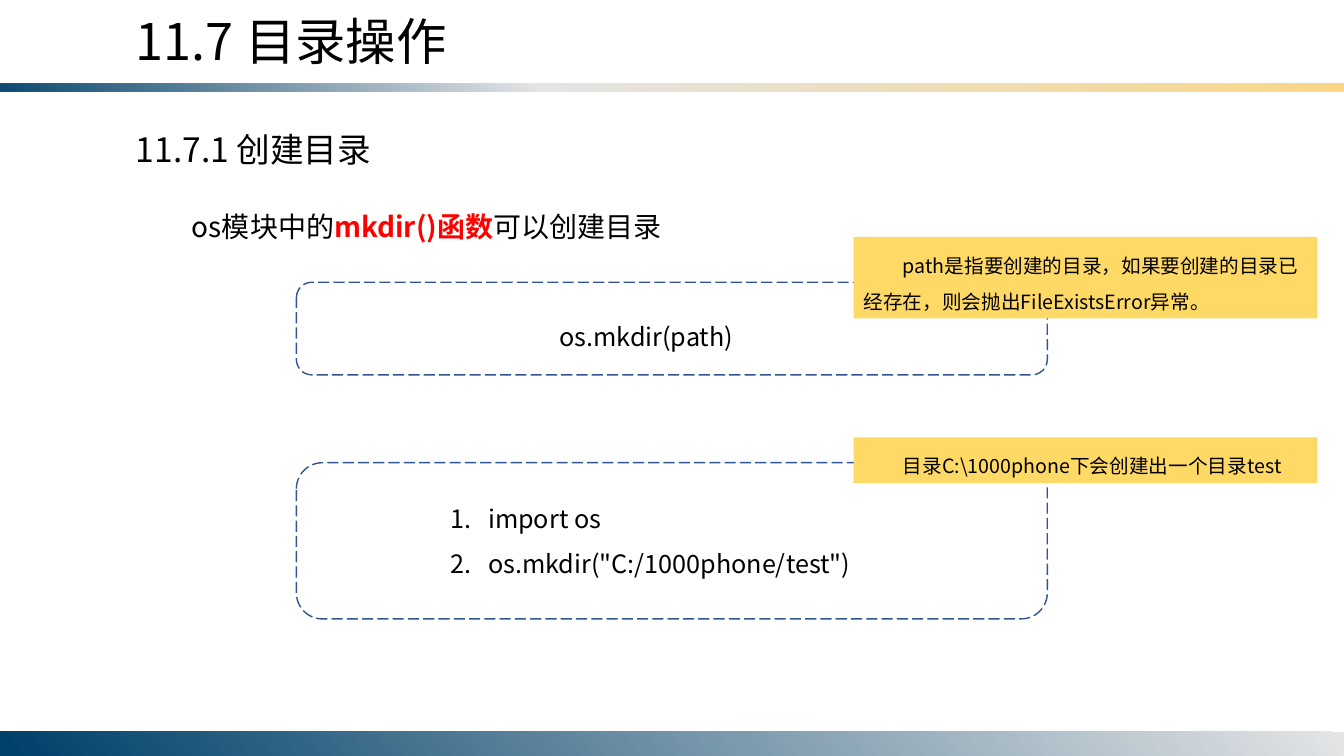
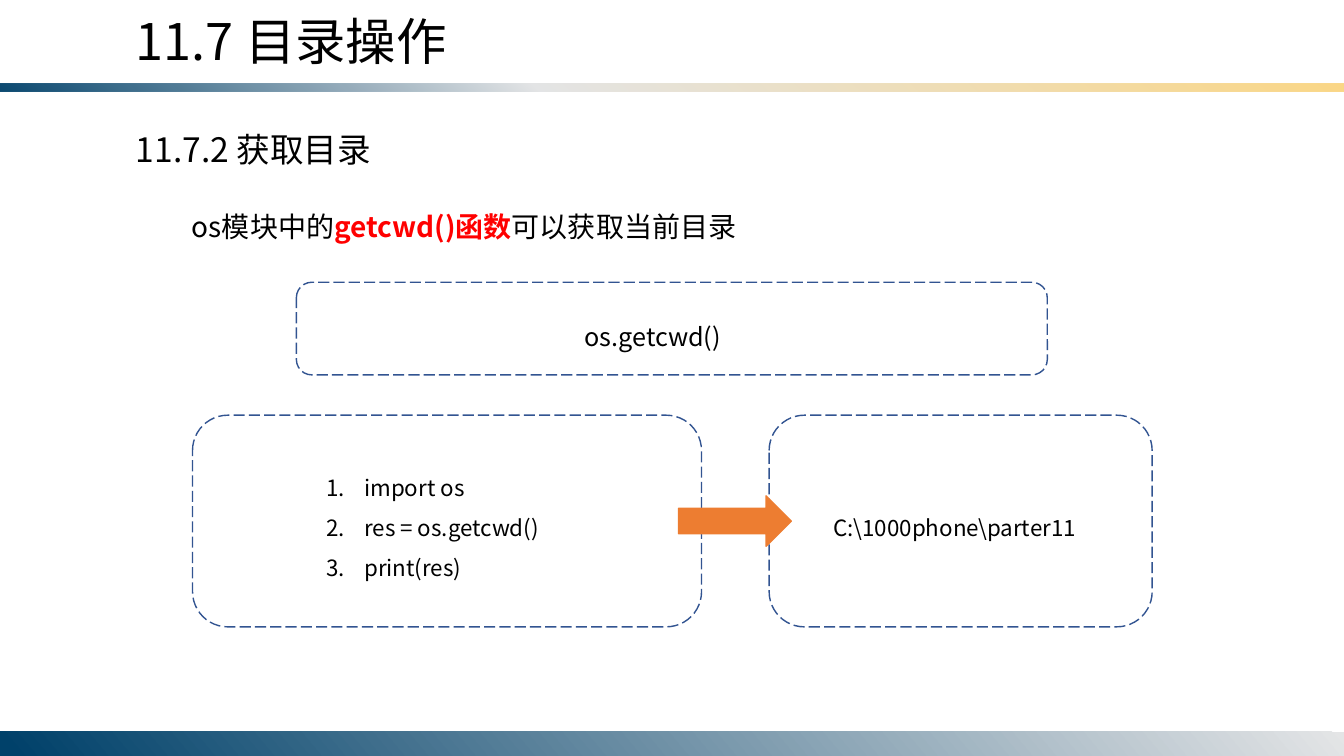
from dataclasses import dataclass
from typing import NamedTuple, Optional

from lxml import etree
from pptx import Presentation
from pptx.dml.color import RGBColor
from pptx.enum.dml import MSO_LINE_DASH_STYLE as Dash
from pptx.enum.shapes import MSO_SHAPE as Preset
from pptx.enum.text import MSO_ANCHOR as Anchor, MSO_AUTO_SIZE as AutoSize, PP_ALIGN as Align
from pptx.oxml.ns import qn
from pptx.util import Pt

FONT = "Noto Sans CJK SC"
COLORS = {
    "text": "000000",
    "key": "FF0000",
    "frame": "325491",
    "callout": "FFD966",
    "arrow": "ED7D31",
    "navy": "00416A",
    "silver": "E4E5E6",
    "gold": "FBD786",
}
SLIDE_WIDTH, SLIDE_HEIGHT = 960, 540
MARGIN = 90
BODY_SPACING = 1.5
LIST_INDENT = 27


class Box(NamedTuple):
    left: float
    top: float
    width: float
    height: float


class Segment(NamedTuple):
    text: str
    color: str = "text"
    bold: bool = False


class Stop(NamedTuple):
    position: int
    color: str
    opacity: int = 100


@dataclass(frozen=True)
class Band:
    box: Box
    angle: int
    stops: tuple[Stop, ...]
    flipped: bool = False


@dataclass(frozen=True)
class TextStyle:
    size: float
    spacing: Optional[float] = None
    first_indent: float = 0
    numbered: bool = False


@dataclass(frozen=True)
class TextBlock:
    box: Box
    lines: tuple[str, ...]
    style: TextStyle


@dataclass(frozen=True)
class Topic:
    heading: str
    statement: tuple[Segment, ...]
    blocks: tuple[TextBlock, ...]
    frames: tuple[Box, ...]
    callouts: tuple[TextBlock, ...] = ()
    arrow: Optional[Box] = None


TITLE = "11.7 目录操作"
TITLE_BOX = Box(MARGIN, 3.6, 371.5, 51.1)
HEADING_BOX = Box(MARGIN, 88.6, 371.5, 36)
STATEMENT_BOX = Box(MARGIN, 133.9, 756, 43.2)
SYNTAX_FRAME = Box(211.7, 201.6, 536.4, 66.2)

TITLE_STYLE = TextStyle(36)
HEADING_STYLE = TextStyle(24)
STATEMENT_STYLE = TextStyle(20, BODY_SPACING, 40)
CALLOUT_STYLE = TextStyle(14, BODY_SPACING, 28)
SYNTAX_STYLE = TextStyle(18, BODY_SPACING)
OUTPUT_STYLE = TextStyle(16, BODY_SPACING)
LARGE_CODE = TextStyle(18, BODY_SPACING, -LIST_INDENT, True)
SMALL_CODE = TextStyle(16, BODY_SPACING, -LIST_INDENT, True)

BANDS = (
    Band(
        Box(0, 59.8, SLIDE_WIDTH, 5.8), 50,
        (Stop(0, "navy", 95), Stop(40, "silver"), Stop(100, "gold")),
        flipped=True,
    ),
    Band(
        Box(0, 522.7, SLIDE_WIDTH, 17.3), 140,
        (Stop(0, "silver"), Stop(99, "navy")),
    ),
)

TOPICS = (
    Topic(
        heading="11.7.1 创建目录",
        statement=(
            Segment("os模块中的"),
            Segment("mkdir()函数", "key", True),
            Segment("可以创建目录"),
        ),
        blocks=(
            TextBlock(Box(392.4, 215.3, 150.5, 39.6), ("os.mkdir(path)",), SYNTAX_STYLE),
            TextBlock(
                Box(314.6, 344.9, 331.2, 72.7),
                ("import os", 'os.mkdir("C:/1000phone/test")'),
                LARGE_CODE,
            ),
        ),
        frames=(SYNTAX_FRAME, Box(211.7, 330.5, 536.4, 111.6)),
        callouts=(
            TextBlock(
                Box(609.8, 169.2, 331.2, 58.3),
                ("path是指要创建的目录，如果要创建的目录已经存在，则会抛出FileExistsError异常。",),
                CALLOUT_STYLE,
            ),
            TextBlock(
                Box(609.8, 312.5, 331.2, 32.4),
                ("目录C:\\1000phone下会创建出一个目录test",),
                CALLOUT_STYLE,
            ),
        ),
    ),
    Topic(
        heading="11.7.2 获取目录",
        statement=(
            Segment("os模块中的"),
            Segment("getcwd()函数", "key", True),
            Segment("可以获取当前目录"),
        ),
        blocks=(
            TextBlock(Box(410.4, 215.3, 114.5, 39.6), ("os.getcwd()",), SYNTAX_STYLE),
            TextBlock(
                Box(226.1, 325.4, 186.5, 94.3),
                ("import os", "res = os.getcwd()", "print(res)"),
                SMALL_CODE,
            ),
            TextBlock(Box(588.2, 354.2, 213.8, 36), ("C:\\1000phone\\parter11",), OUTPUT_STYLE),
        ),
        frames=(
            SYNTAX_FRAME,
            Box(137.5, 296.6, 363.6, 151.2),
            Box(549.4, 296.6, 273.6, 151.2),
        ),
        arrow=Box(484.6, 354.2, 80.6, 36),
    ),
)


def rgb(name: str) -> RGBColor:
    return RGBColor.from_string(COLORS[name])


def place(box: Box) -> tuple[Pt, ...]:
    return tuple(Pt(length) for length in box)


def add_preset(slide, preset: Preset, box: Box, fill: Optional[str] = None,
               line: Optional[str] = None):
    shape = slide.shapes.add_shape(preset, *place(box))
    shape.shadow.inherit = False
    if fill:
        shape.fill.solid()
        shape.fill.fore_color.rgb = rgb(fill)
    else:
        shape.fill.background()
    if line:
        shape.line.color.rgb = rgb(line)
        shape.line.width = Pt(1)
    else:
        shape.line.fill.background()
    return shape


def add_band(slide, band: Band) -> None:
    shape = add_preset(slide, Preset.RECTANGLE, band.box)
    properties = shape._element.spPr
    if band.flipped:
        properties.find(qn("a:xfrm")).set("flipV", "1")
    gradient = etree.Element(qn("a:gradFill"), rotWithShape="1")
    stops = etree.SubElement(gradient, qn("a:gsLst"))
    for stop in band.stops:
        entry = etree.SubElement(stops, qn("a:gs"), pos=str(stop.position * 1000))
        color = etree.SubElement(entry, qn("a:srgbClr"), val=COLORS[stop.color])
        if stop.opacity < 100:
            etree.SubElement(color, qn("a:alpha"), val=str(stop.opacity * 1000))
    etree.SubElement(gradient, qn("a:lin"), ang=str(band.angle * 60000), scaled="0")
    properties.replace(properties.find(qn("a:noFill")), gradient)


def format_paragraph(paragraph, style: TextStyle) -> None:
    properties = paragraph._p.get_or_add_pPr()
    properties.set("marL", str(Pt(LIST_INDENT if style.numbered else 0)))
    properties.set("indent", str(Pt(style.first_indent)))
    if style.numbered:
        etree.SubElement(properties, qn("a:buAutoNum"), type="arabicPeriod")
    paragraph.alignment = Align.LEFT
    if style.spacing:
        paragraph.line_spacing = style.spacing


def add_run(paragraph, segment: Segment, size: float) -> None:
    run = paragraph.add_run()
    run.text = segment.text
    run.font.size = Pt(size)
    run.font.bold = segment.bold
    run.font.color.rgb = rgb(segment.color)
    run.font.name = FONT
    latin = run._r.get_or_add_rPr().find(qn("a:latin"))
    latin.addnext(etree.Element(qn("a:ea"), typeface=FONT))


def write_text(shape, lines: tuple[tuple[Segment, ...], ...], style: TextStyle,
               anchor: Anchor = Anchor.TOP) -> None:
    frame = shape.text_frame
    frame.word_wrap = True
    frame.auto_size = AutoSize.SHAPE_TO_FIT_TEXT
    frame.vertical_anchor = anchor
    for index, segments in enumerate(lines):
        paragraph = frame.add_paragraph() if index else frame.paragraphs[0]
        format_paragraph(paragraph, style)
        for segment in segments:
            add_run(paragraph, segment, style.size)


def plain(lines: tuple[str, ...]) -> tuple[tuple[Segment, ...], ...]:
    return tuple((Segment(line),) for line in lines)


def add_text(slide, block: TextBlock) -> None:
    shape = slide.shapes.add_textbox(*place(block.box))
    write_text(shape, plain(block.lines), block.style)


def add_callout(slide, block: TextBlock) -> None:
    shape = add_preset(slide, Preset.RECTANGLE, block.box, fill="callout")
    write_text(shape, plain(block.lines), block.style, Anchor.MIDDLE)


def add_frame(slide, box: Box) -> None:
    shape = add_preset(slide, Preset.ROUNDED_RECTANGLE, box, line="frame")
    shape.line.dash_style = Dash.LONG_DASH


def add_topic(presentation, topic: Topic) -> None:
    slide = presentation.slides.add_slide(presentation.slide_layouts[6])
    for band in BANDS:
        add_band(slide, band)
    add_text(slide, TextBlock(TITLE_BOX, (TITLE,), TITLE_STYLE))
    add_text(slide, TextBlock(HEADING_BOX, (topic.heading,), HEADING_STYLE))
    statement = slide.shapes.add_textbox(*place(STATEMENT_BOX))
    write_text(statement, (topic.statement,), STATEMENT_STYLE)
    for block in topic.blocks:
        add_text(slide, block)
    for frame in topic.frames:
        add_frame(slide, frame)
    for callout in topic.callouts:
        add_callout(slide, callout)
    if topic.arrow:
        add_preset(slide, Preset.RIGHT_ARROW, topic.arrow, fill="arrow", line="arrow")


def main() -> None:
    presentation = Presentation()
    presentation.slide_width = Pt(SLIDE_WIDTH)
    presentation.slide_height = Pt(SLIDE_HEIGHT)
    for topic in TOPICS:
        add_topic(presentation, topic)
    presentation.save("out.pptx")


if __name__ == "__main__":
    main()
